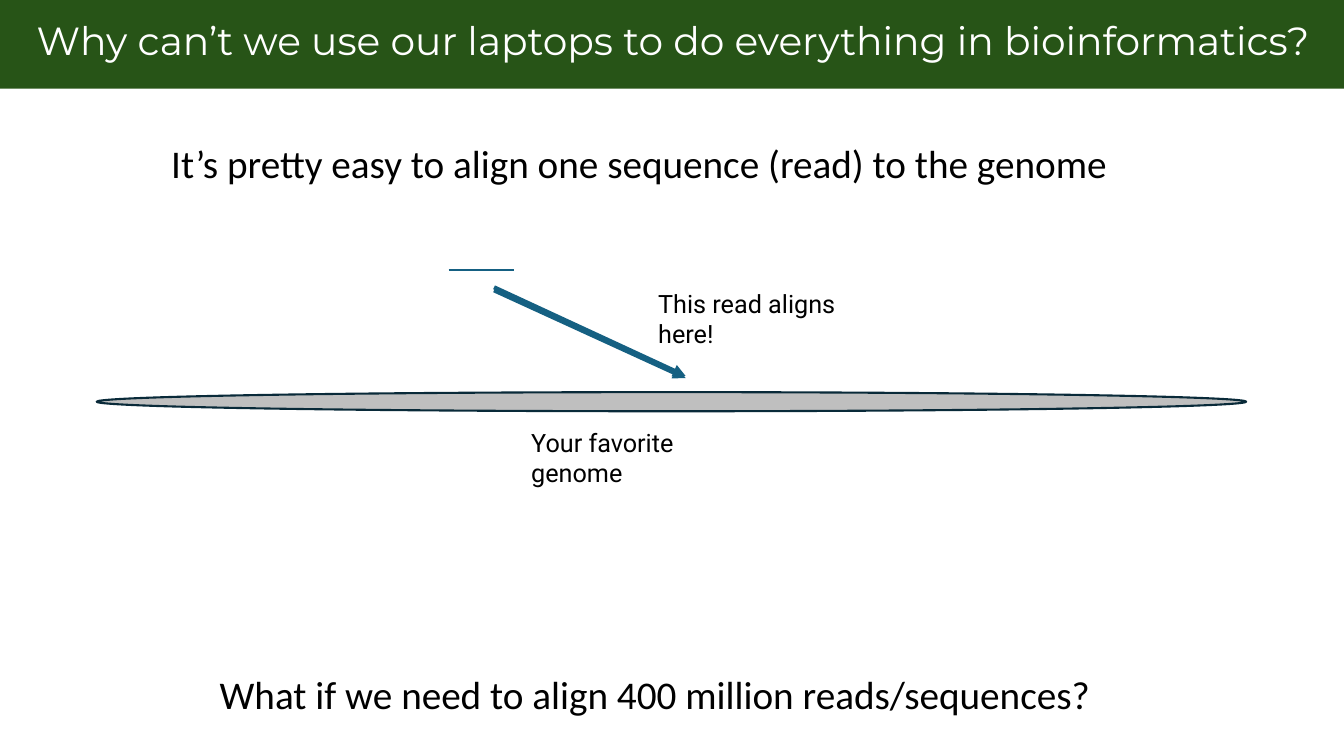
import pptx
import pptx.util
import pptx.dml.color
import pptx.enum.shapes
import pptx.enum.text
import lxml.etree
from pptx.util import Inches

SHAPES = pptx.enum.shapes.MSO_SHAPE
ALIGN = pptx.enum.text.PP_ALIGN


def color(hex_code):
    return pptx.dml.color.RGBColor.from_string(hex_code)


def add_text(text, left, top, width, height, size, font, hex_code):
    frame = slide.shapes.add_textbox(
        Inches(left), Inches(top), Inches(width), Inches(height)).text_frame
    frame.word_wrap = True
    frame.text = text
    paragraph = frame.paragraphs[0]
    run_font = paragraph.runs[0].font
    run_font.size = pptx.util.Pt(size)
    run_font.name = font
    run_font.color.rgb = color(hex_code)
    return paragraph


deck = pptx.Presentation()
deck.slide_width = Inches(13.33)
deck.slide_height = Inches(7.5)
slide = deck.slides.add_slide(deck.slide_layouts[6])

# Title band
title_band = slide.shapes.add_shape(
    SHAPES.RECTANGLE, 0, 0, deck.slide_width, Inches(0.88))
title_band.shadow.inherit = False
title_band.fill.solid()
title_band.fill.fore_color.rgb = color("275417")
title_band.line.fill.background()
title = add_text("Why can’t we use our laptops to do everything in bioinformatics?",
                 0.03, 0.11, 13.29, 0.57, 28, "Montserrat", "FFFFFF")
title.alignment = ALIGN.CENTER

# Opening statement and closing question
for statement, left, top in [
    ("It’s pretty easy to align one sequence (read) to the genome", 1.6, 1.39),
    ("What if we need to align 400 million reads/sequences?", 2.08, 6.65),
]:
    paragraph = add_text(statement, left, top, 9.89, 0.61, 28, "Calibri", "000000")
    paragraph.line_spacing = 0.9
    paragraph.space_before = pptx.util.Pt(10)

# Genome
genome = slide.shapes.add_shape(
    SHAPES.OVAL, Inches(0.96), Inches(3.89), Inches(11.4), Inches(0.19))
genome.shadow.inherit = False
genome.fill.solid()
genome.fill.fore_color.rgb = color("BFBFBF")
genome.line.color.rgb = color("092A39")
genome.line.width = pptx.util.Pt(1.5)

# Labels of the read and the genome
for label, left, top, width in [
    ("This read aligns here!", 6.43, 2.81, 2.49),
    ("Your favorite genome", 5.17, 4.19, 2.53),
]:
    add_text(label, left, top, width, 0.4, 18, "Roboto", "000000")

# Read, and the doubled arrow to where it aligns
for x1, y1, x2, y2, weight, has_head in [
    (4.45, 2.68, 5.1, 2.68, 1.5, False),
    (4.9, 2.88, 6.8, 3.75, 3, True),
    (4.9, 2.85, 6.8, 3.73, 3, True),
]:
    stroke = slide.shapes.add_connector(
        pptx.enum.shapes.MSO_CONNECTOR.STRAIGHT,
        Inches(x1), Inches(y1), Inches(x2), Inches(y2))
    stroke.line.color.rgb = color("156082")
    stroke.line.width = pptx.util.Pt(weight)
    properties = stroke._element.spPr
    if has_head:
        outline = properties.find(pptx.oxml.ns.qn("a:ln"))
        lxml.etree.SubElement(outline, pptx.oxml.ns.qn("a:tailEnd"), type="triangle")
    lxml.etree.SubElement(properties, pptx.oxml.ns.qn("a:effectLst"))

deck.save("out.pptx")
